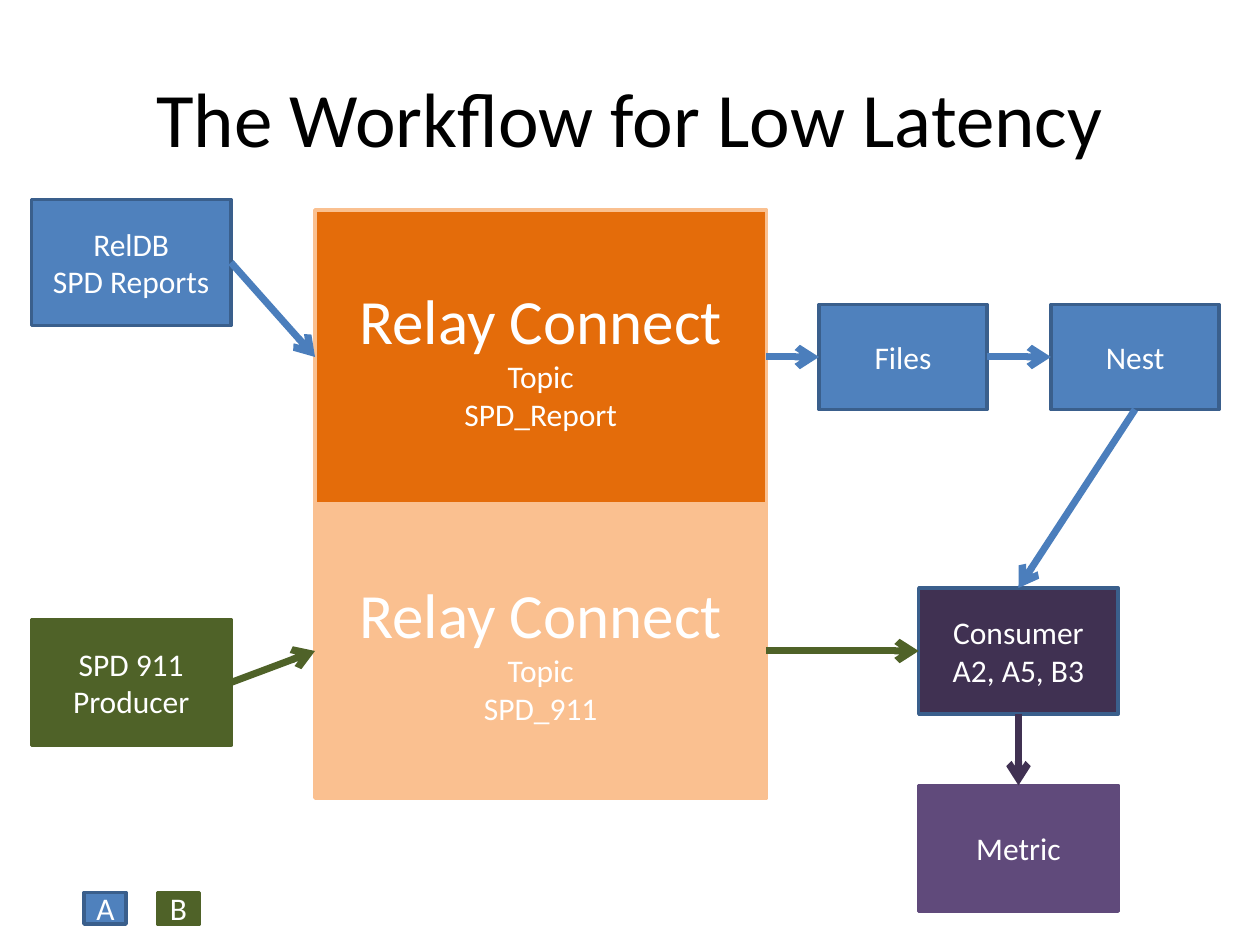
import dataclasses

import lxml.etree
import pptx
import pptx.dml.color
import pptx.enum.shapes
import pptx.enum.text
import pptx.oxml.ns
import pptx.util

TITLE_ONLY_LAYOUT = 5
TOP, LEFT, BOTTOM, RIGHT = range(4)  # connection sites of a rectangle


@dataclasses.dataclass(frozen=True)
class Theme:
    font: str = "Calibri"
    title_size: int = 44
    heading_size: int = 36
    body_size: int = 18
    outline_width: int = 2
    arrow_width: int = 4
    black: str = "000000"
    white: str = "FFFFFF"
    blue: str = "4F81BD"
    blue_outline: str = "3A5F8C"
    blue_arrow: str = "4B7EBC"
    green: str = "4F6228"
    orange: str = "E46C0A"
    light_orange: str = "FAC090"
    dark_purple: str = "403152"
    purple: str = "604A7B"


THEME = Theme()


def grid(units):
    """Length of grid units; the slide is 120 columns by 90 rows."""
    return pptx.util.Inches(units / 12)


def rgb(code):
    return pptx.dml.color.RGBColor.from_string(code)


def format_paragraph(paragraph, size, color):
    paragraph.alignment = pptx.enum.text.PP_ALIGN.CENTER
    paragraph.font.name = THEME.font
    paragraph.font.size = pptx.util.Pt(size)
    paragraph.font.color.rgb = rgb(color)


def add_title(slide, text):
    title = slide.shapes.title
    title.left, title.top, title.width, title.height = map(grid, (6, 3.6, 108, 15))
    title.text_frame.text = text
    title.text_frame.vertical_anchor = pptx.enum.text.MSO_ANCHOR.MIDDLE
    format_paragraph(title.text_frame.paragraphs[0], THEME.title_size, THEME.black)


def add_box(slide, place, lines, fill, outline, first_size=THEME.body_size):
    """Add a box at (column, row, columns, rows), one paragraph per line."""
    box = slide.shapes.add_shape(
        pptx.enum.shapes.MSO_SHAPE.RECTANGLE, *map(grid, place))
    box.shadow.inherit = False
    box.fill.solid()
    box.fill.fore_color.rgb = rgb(fill)
    box.line.color.rgb = rgb(outline)
    box.line.width = pptx.util.Pt(THEME.outline_width)
    frame = box.text_frame
    frame.text = "\n".join(lines)
    frame.vertical_anchor = pptx.enum.text.MSO_ANCHOR.MIDDLE
    for index, paragraph in enumerate(frame.paragraphs):
        size = THEME.body_size if index else first_size
        format_paragraph(paragraph, size, THEME.white)
    return box


def add_arrow(slide, source, source_site, target, target_site, color):
    arrow = slide.shapes.add_connector(
        pptx.enum.shapes.MSO_CONNECTOR.STRAIGHT, 0, 0, 0, 0)
    arrow.begin_connect(source, source_site)
    arrow.end_connect(target, target_site)
    arrow.line.color.rgb = rgb(color)
    arrow.line.width = pptx.util.Pt(THEME.arrow_width)
    qualified = pptx.oxml.ns.qn
    properties = arrow.line._get_or_add_ln()
    lxml.etree.SubElement(properties, qualified("a:tailEnd"), type="arrow")
    lxml.etree.SubElement(properties.getparent(), qualified("a:effectLst"))


def add_workflow(slide):
    blue = (THEME.blue, THEME.blue_outline)
    green = (THEME.green, THEME.green)

    reports = add_box(slide, (3, 19, 19, 12), ["RelDB", "SPD Reports"], *blue)
    report_topic = add_box(
        slide, (30, 20, 43, 28), ["Relay Connect", "Topic", "SPD_Report"],
        THEME.orange, THEME.light_orange, THEME.heading_size)
    file_store = add_box(slide, (78, 29, 16, 10), ["Files"], *blue)
    warehouse = add_box(slide, (100.1, 29, 16, 10), ["Nest"], *blue)

    producer = add_box(slide, (3, 59, 19, 12), ["SPD 911", "Producer"], *green)
    call_topic = add_box(
        slide, (30, 48, 43, 28), ["Relay Connect", "Topic", "SPD_911"],
        THEME.light_orange, THEME.light_orange, THEME.heading_size)
    consumer = add_box(
        slide, (87.5, 56, 19, 12), ["Consumer", "A2, A5, B3"],
        THEME.dark_purple, THEME.blue_outline)
    metric = add_box(
        slide, (87.5, 74.8, 19, 12), ["Metric"], THEME.purple, THEME.purple)

    for source, target, color in (
        (reports, report_topic, THEME.blue_arrow),
        (report_topic, file_store, THEME.blue_arrow),
        (file_store, warehouse, THEME.blue_arrow),
        (producer, call_topic, THEME.green),
        (call_topic, consumer, THEME.green),
    ):
        add_arrow(slide, source, RIGHT, target, LEFT, color)
    add_arrow(slide, warehouse, BOTTOM, consumer, TOP, THEME.blue_arrow)
    add_arrow(slide, consumer, BOTTOM, metric, TOP, THEME.dark_purple)


def add_legend(slide):
    add_box(slide, (8, 85, 4, 3), ["A"], THEME.blue, THEME.blue_outline)
    add_box(slide, (15, 85, 4, 3), ["B"], THEME.green, THEME.green)


def main():
    presentation = pptx.Presentation()
    presentation.slide_width = grid(120)
    presentation.slide_height = grid(90)
    slide = presentation.slides.add_slide(
        presentation.slide_layouts[TITLE_ONLY_LAYOUT])
    add_title(slide, "The Workflow for Low Latency")
    add_workflow(slide)
    add_legend(slide)
    presentation.save("out.pptx")


if __name__ == "__main__":
    main()
